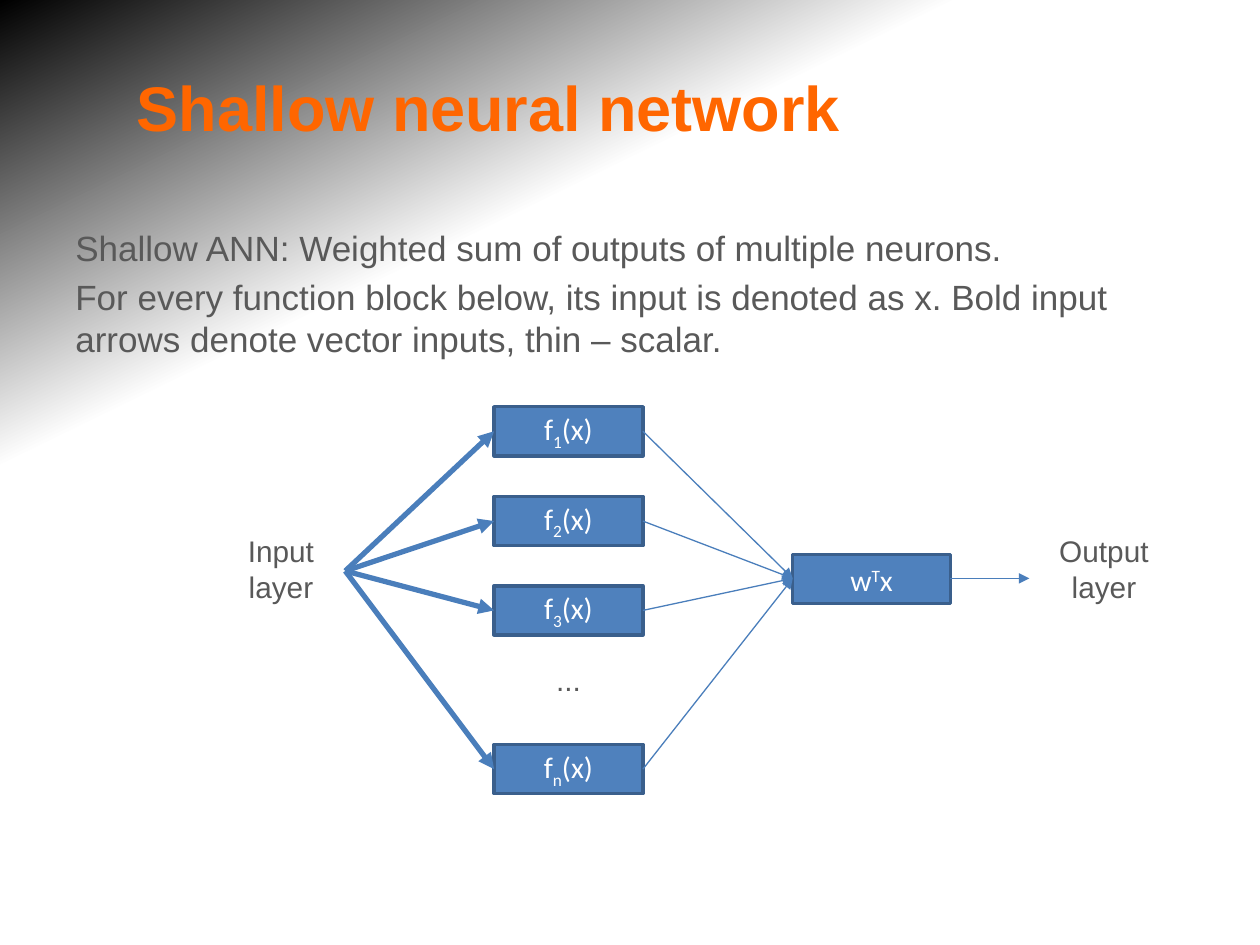
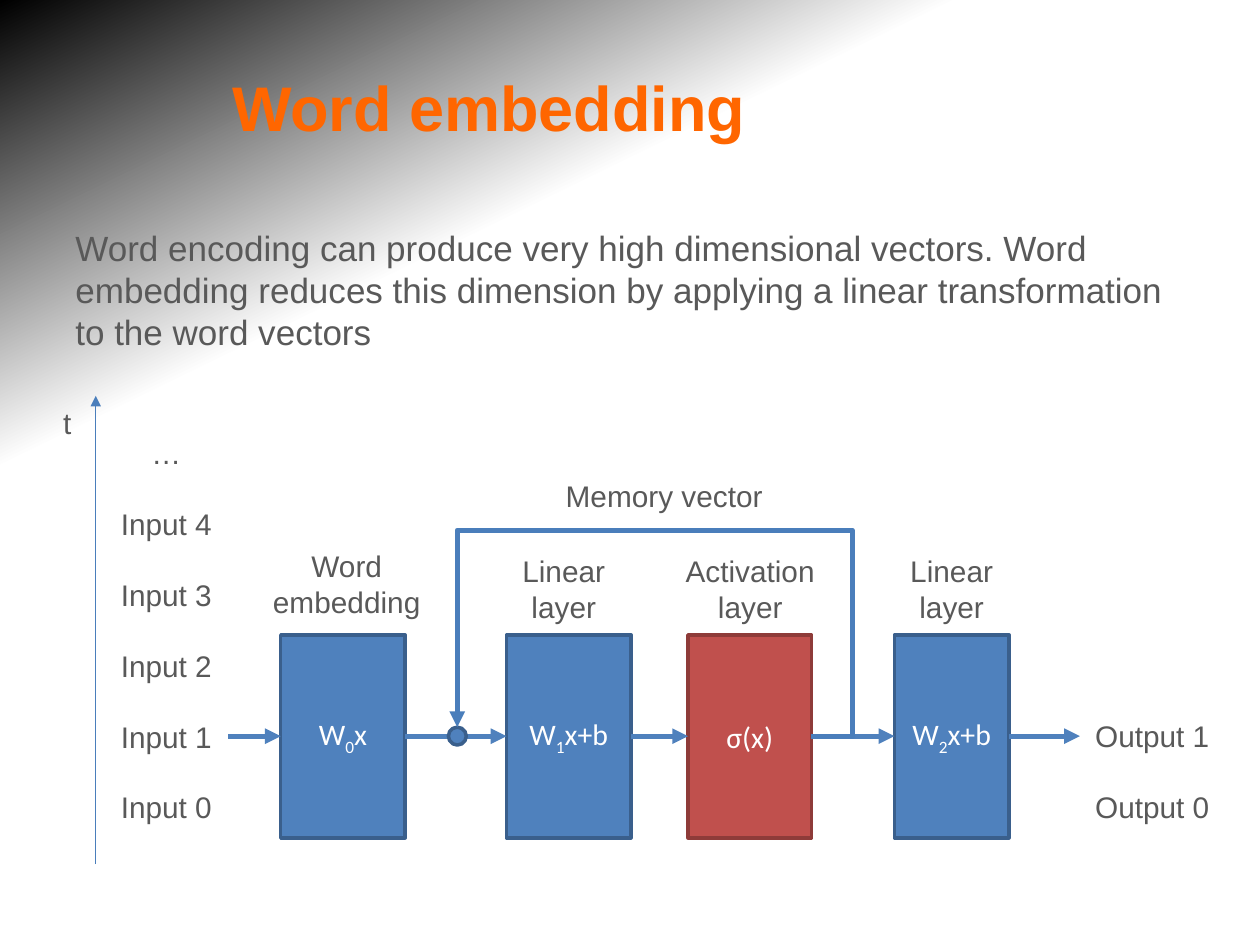
from copy import deepcopy
from itertools import pairwise

from lxml.etree import SubElement as Sub
from pptx import Presentation
from pptx.dml.color import RGBColor
from pptx.enum.shapes import MSO_CONNECTOR as Link, MSO_SHAPE as Form
from pptx.enum.text import MSO_ANCHOR as Anchor, PP_ALIGN as Align
from pptx.oxml.ns import qn
from pptx.util import Cm, Pt

ORANGE = RGBColor(0xFF, 0x66, 0x00)
GREY = RGBColor(0x59, 0x59, 0x59)
WHITE = RGBColor(0xFF, 0xFF, 0xFF)
BLACK = RGBColor(0x00, 0x00, 0x00)
BLUE = RGBColor(0x4F, 0x81, 0xBD)
NAVY = RGBColor(0x3A, 0x5F, 0x8C)
STEEL = RGBColor(0x4A, 0x7E, 0xBB)
RED = RGBColor(0xC0, 0x50, 0x4D)
MAROON = RGBColor(0x8E, 0x3B, 0x39)

TITLE = {"name": "Arial", "size": Pt(36), "bold": True}
BODY = {"name": "Arial", "size": Pt(20)}
LABEL = {"name": "Arial", "size": Pt(17)}
BLOCK = {"name": "Calibri", "size": Pt(17)}
SUB, SUPER = -25000, 30000


def apply(item, values):
    for key, value in values.items():
        setattr(item, key, value)


def style(run, font, color):
    apply(run.font, font)
    run.font.color.rgb = color


def place(shape, box):
    names = ("left", "top", "width", "height")
    apply(shape, dict(zip(names, map(Cm, box))))


def paint(deck):
    master = deck.slide_master
    fill = master.background.fill
    fill.gradient()
    fill.gradient_angle = 116
    stops = master.element.find(".//" + qn("a:gsLst"))
    stops.insert(1, deepcopy(stops[0]))
    marks = ((0, WHITE), (0.7, WHITE), (1, BLACK))
    for stop, (spot, color) in zip(fill.gradient_stops, marks):
        stop.position = spot
        stop.color.rgb = color


def write(slide, box, lines, font=LABEL, align=Align.CENTER,
          anchor=Anchor.TOP, before=0):
    shape = slide.shapes.add_textbox(*map(Cm, box))
    frame = shape.text_frame
    apply(frame, {"word_wrap": True, "vertical_anchor": anchor})
    frame.text = "\n".join(lines)
    for para in frame.paragraphs:
        apply(para, {"alignment": align, "space_before": Pt(before)})
        style(para.runs[0], font, GREY)


def start(deck, title, lines):
    slide = deck.slides.add_slide(deck.slide_layouts[5])
    head = slide.shapes.title
    place(head, (1.27, 0.84, 17.12, 2.62))
    frame = head.text_frame
    apply(frame, {"vertical_anchor": Anchor.MIDDLE, "margin_left": Cm(0.3)})
    frame.text = title
    para = frame.paragraphs[0]
    para.alignment = Align.CENTER
    style(para.runs[0], TITLE, ORANGE)
    write(slide, (1.27, 4.45, 22.86, 3), lines, BODY, Align.LEFT, before=4)
    return slide


def block(slide, box, parts=(), shift=SUB, fill=BLUE, edge=NAVY,
          form=Form.RECTANGLE):
    shape = slide.shapes.add_shape(form, *map(Cm, box))
    shape.shadow.inherit = False
    shape.fill.solid()
    shape.fill.fore_color.rgb = fill
    shape.line.color.rgb = edge
    shape.line.width = Pt(2)
    frame = shape.text_frame
    frame.vertical_anchor = Anchor.MIDDLE
    para = frame.paragraphs[0]
    para.alignment = Align.CENTER
    for spot, part in enumerate(parts):
        run = para.add_run()
        run.text = part
        style(run, BLOCK, WHITE)
        if spot == 1:
            run.font._element.set("baseline", str(shift))
    return shape


def arrow(slide, tail, tip, width=3, color=STEEL, kind=Link.STRAIGHT):
    line = slide.shapes.add_connector(kind, *map(Cm, (*tail, *tip)))
    line.line.color.rgb = color
    line.line.width = Pt(width)
    Sub(line.line._get_or_add_ln(), qn("a:tailEnd"), type="triangle")
    Sub(line._element.spPr, qn("a:effectLst"))
    return line


def loop(slide, source, target, right, top):
    tail = (source.left + source.width, source.top + source.height // 2)
    tip = (target.left + target.width // 2, target.top)
    line = arrow(slide, [v.cm for v in map(Cm, (0, 0))], (1, 1),
                 kind=Link.ELBOW)
    line.begin_connect(source, 3)
    line.end_connect(target, 0)
    shape = line._element.spPr.find(qn("a:prstGeom"))
    shape.set("prst", "bentConnector4")
    bends = ((tail[0] - Cm(right)) / (tail[0] - tip[0]),
             (tail[1] - Cm(top)) / (tail[1] - tip[1]))
    for spot, bend in enumerate(bends, 1):
        Sub(shape.find(qn("a:avLst")), qn("a:gd"), name=f"adj{spot}",
            fmla=f"val {round(bend * 100000)}")


def shallow(deck):
    slide = start(deck, "Shallow neural network", (
        "Shallow ANN: Weighted sum of outputs of multiple neurons.",
        "For every function block below, its input is denoted as x. "
        "Bold input arrows denote vector inputs, thin – scalar."))
    write(slide, (4.37, 10.62, 2.59, 2), ("Input", "layer"))
    write(slide, (20.96, 10.62, 2.59, 2.18), ("Output", "layer"))
    left, wide, high = 9.96, 3, 0.99
    write(slide, (left, 13.21, wide, 1.04), ("...",))
    hub, join = (6.96, 11.51), (15.98, 11.66)
    block(slide, (join[0], 11.18, 3.18, high), ("w", "T", "x"), SUPER)
    for mark, top in zip("123n", (8.2, 10.01, 11.81, 15.01)):
        block(slide, (left, top, wide, high), ("f", mark, "(x)"))
        mid = top + high / 2
        arrow(slide, hub, (left, mid))
        arrow(slide, (left + wide, mid), join, 0.75)
    arrow(slide, (19.15, join[1]), (20.75, join[1]), 0.75)


def embed(deck):
    slide = start(deck, "Word embedding", (
        "Word encoding can produce very high dimensional vectors. "
        "Word embedding reduces this dimension by applying a linear "
        "transformation to the word vectors",))
    top, high, mid = 12.8, 4.09, 14.84
    plan = ((5.66, 2.51, ("W", "0", "x"), BLUE, NAVY),
            (10.21, 2.51, ("W", "1", "x+b"), BLUE, NAVY),
            (13.87, 2.49, ("σ(x)",), RED, MAROON),
            (18.03, 2.31, ("W", "2", "x+b"), BLUE, NAVY))
    blocks = [block(slide, (left, top, wide, high), parts, SUB, fill, edge)
              for left, wide, parts, fill, edge in plan]
    spans = [(0, 4.6), *((left, left + wide) for left, wide, *_ in plan),
             (21.77, 0)]
    for (_, tail), (tip, _) in pairwise(spans):
        arrow(slide, (tail, mid), (tip, mid), color=BLUE)
    dot = block(slide, (9.04, 14.66, 0.36, 0.36), form=Form.OVAL)
    loop(slide, blocks[2], dot, 17.18, 10.69)

    for box, lines in (
            ((5.21, 10.92, 3.56, 1.78), ("Word", "embedding")),
            ((10.21, 11.02, 2.31, 1.78), ("Linear", "layer")),
            ((13.46, 11.02, 3.33, 1.78), ("Activation", "layer")),
            ((18.03, 11.02, 2.31, 1.78), ("Linear", "layer")),
            ((11, 9.5, 4.78, 1.12), ("Memory vector",))):
        write(slide, box, lines)

    step, row = 1.43, 1.42
    inputs = ["…", *(f"Input {n}" for n in range(4, -1, -1))]
    outputs = ["Output 1", "Output 0"]
    for left, first, wide, names in ((2.11, 8.41, 2.49, inputs),
                                     (21.77, 14.12, 2.92, outputs),
                                     (0.86, 7.8, 0.99, ["t"])):
        for spot, name in enumerate(names):
            write(slide, (left, first + spot * step, wide, row), (name,),
                  anchor=Anchor.MIDDLE)
    arrow(slide, (1.93, 17.42), (1.93, 7.98), 0.75)


def main():
    deck = Presentation()
    apply(deck, {"slide_width": Cm(25.4), "slide_height": Cm(19.05)})
    paint(deck)
    shallow(deck)
    embed(deck)
    deck.save("out.pptx")


if __name__ == "__main__":
    main()
